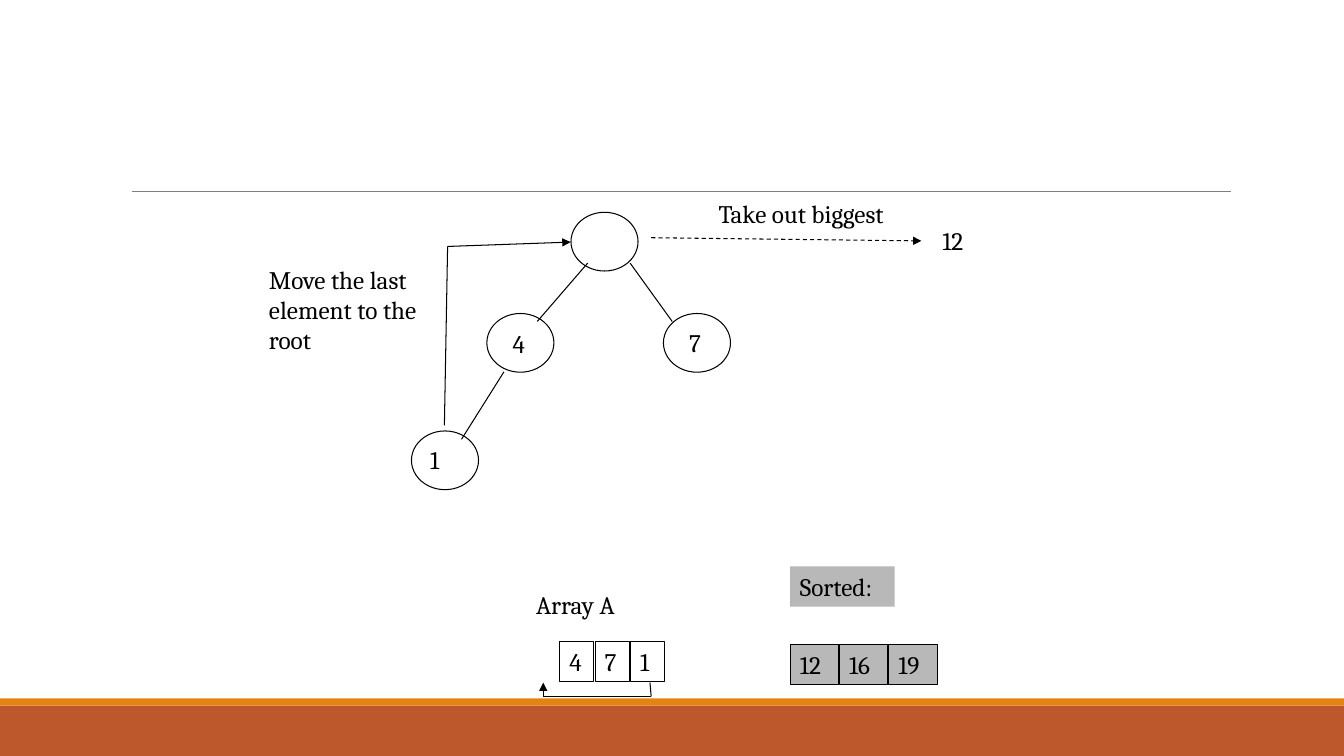
from dataclasses import dataclass

from lxml import etree
from pptx import Presentation
from pptx.dml.color import RGBColor
from pptx.enum.dml import MSO_LINE
from pptx.enum.shapes import MSO_CONNECTOR, MSO_SHAPE
from pptx.enum.text import MSO_AUTO_SIZE, MSO_ANCHOR, PP_ALIGN
from pptx.oxml.ns import qn
from pptx.util import Cm, Pt


@dataclass(frozen=True)
class Theme:
    font: str = "Cambria"
    size: float = 18
    ink: str = "000000"
    rule: str = "808080"
    shade: str = "B8B8B8"
    band: str = "BD582C"
    accent: str = "E48312"
    thin: float = 0.25
    rule_width: float = 0.5
    stroke: float = 0.75


class HeapSlide:
    ROW_H = 1.02

    def __init__(self, prs, theme):
        self.theme = theme
        self.shapes = prs.slides.add_slide(prs.slide_layouts[6]).shapes

    def shape(self, kind, x, y, w, h, fill=None, width=None):
        sp = self.shapes.add_shape(kind, Cm(x), Cm(y), Cm(w), Cm(h))
        sp.shadow.inherit = False
        if fill:
            sp.fill.solid()
            sp.fill.fore_color.rgb = RGBColor.from_string(fill)
        else:
            sp.fill.background()
        if width:
            sp.line.color.rgb = RGBColor.from_string(self.theme.ink)
            sp.line.width = Pt(width)
        else:
            sp.line.fill.background()
        return sp

    def set_text(self, sp, text):
        tf = sp.text_frame
        tf.text = text
        tf.word_wrap = False
        tf.auto_size = MSO_AUTO_SIZE.SHAPE_TO_FIT_TEXT
        tf.vertical_anchor = MSO_ANCHOR.TOP
        for p in tf.paragraphs:
            p.alignment = PP_ALIGN.LEFT
            for r in p.runs:
                r.font.name = self.theme.font
                r.font.size = Pt(self.theme.size)
                r.font.color.rgb = RGBColor.from_string(self.theme.ink)

    def label(self, text, x, y, w, h=ROW_H):
        self.set_text(self.shapes.add_textbox(Cm(x), Cm(y), Cm(w), Cm(h)), text)

    def box(self, text, x, y, w, fill=None, width=None):
        sp = self.shape(MSO_SHAPE.RECTANGLE, x, y, w, self.ROW_H, fill, width)
        self.set_text(sp, text)

    def cells(self, values, x, y, w, step, fill=None):
        for i, value in enumerate(values):
            self.box(value, x + i * step, y, w, fill, self.theme.thin)

    def node(self, x, y):
        self.shape(MSO_SHAPE.OVAL, x, y, 1.69, 1.48, width=self.theme.stroke)

    def line(self, start, end, arrow=False, dash=False, color=None, width=None):
        ends = [Cm(v) for v in (*start, *end)]
        cx = self.shapes.add_connector(MSO_CONNECTOR.STRAIGHT, *ends)
        cx.line.color.rgb = RGBColor.from_string(color or self.theme.ink)
        cx.line.width = Pt(width or self.theme.stroke)
        if dash:
            cx.line.dash_style = MSO_LINE.DASH
        sp_pr = cx._element.spPr
        if arrow:
            ln = sp_pr.find(qn("a:ln"))
            etree.SubElement(ln, qn("a:tailEnd")).set("type", "triangle")
        etree.SubElement(sp_pr, qn("a:effectLst"))

    def route(self, *points):
        last = len(points) - 2
        for i, (start, end) in enumerate(zip(points, points[1:])):
            self.line(start, end, arrow=i == last)


def main():
    prs = Presentation()
    prs.slide_width, prs.slide_height = Cm(33.87), Cm(19.05)
    theme = Theme()
    s = HeapSlide(prs, theme)

    s.shape(MSO_SHAPE.RECTANGLE, 0, 17.78, 33.87, 1.27, theme.band)
    s.shape(MSO_SHAPE.RECTANGLE, 0, 17.6, 33.87, 0.18, theme.accent)
    s.line((3.33, 4.83), (31.01, 4.83), color=theme.rule, width=theme.rule_width)

    for x, y in ((14.39, 5.35), (12.27, 7.9), (16.72, 7.9), (10.37, 10.86)):
        s.node(x, y)
    for value, x, y in (("4", 12.67, 8.15), ("7", 17.12, 8.13), ("1", 10.59, 11.07)):
        s.label(value, x, y, 0.86)
    for parent, child in (
        ((14.81, 6.63), (13.54, 8.1)),
        ((15.88, 6.63), (16.94, 8.1)),
        ((12.7, 9.37), (11.63, 11.07)),
    ):
        s.line(parent, child)

    s.label("Take out biggest", 17.86, 4.88, 5.44)
    s.line((16.41, 5.99), (23.22, 6.07), arrow=True, dash=True)
    s.label("12", 23.5, 5.56, 1.22)

    s.label("Move the last\nelement to the\nroot", 6.53, 6.53, 4.95, 2.57)
    s.route((11.2, 10.72), (11.28, 6.21), (14.38, 6.1))

    s.label("Array A", 13.26, 14.73, 2.9)
    s.cells(("4", "7", "1"), 14.1, 16.15, 0.86, 0.89)
    s.route((16.38, 17.2), (16.41, 17.55), (13.69, 17.55), (13.69, 17.2))

    s.box("Sorted:", 19.91, 14.27, 2.64, theme.shade)
    s.cells(("12", "16", "19"), 19.91, 16.23, 1.22, 1.24, theme.shade)

    prs.save("out.pptx")


if __name__ == "__main__":
    main()
